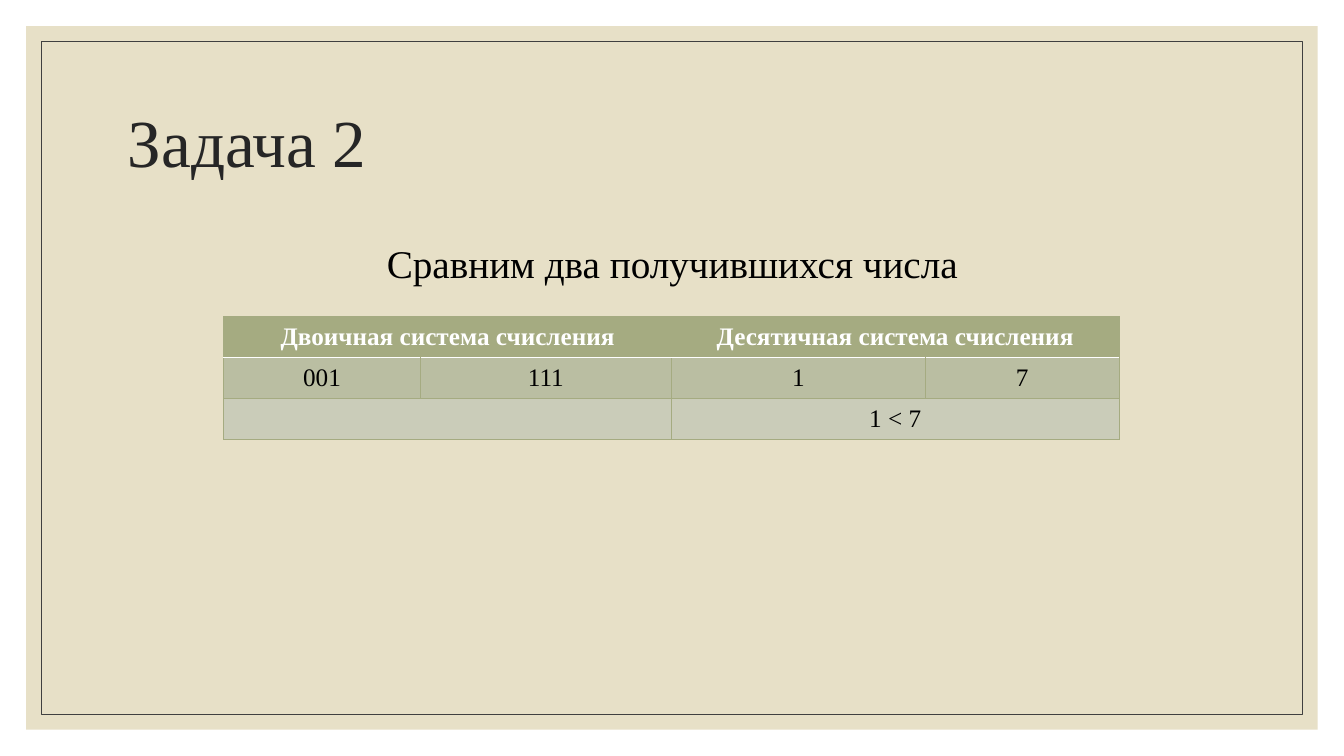
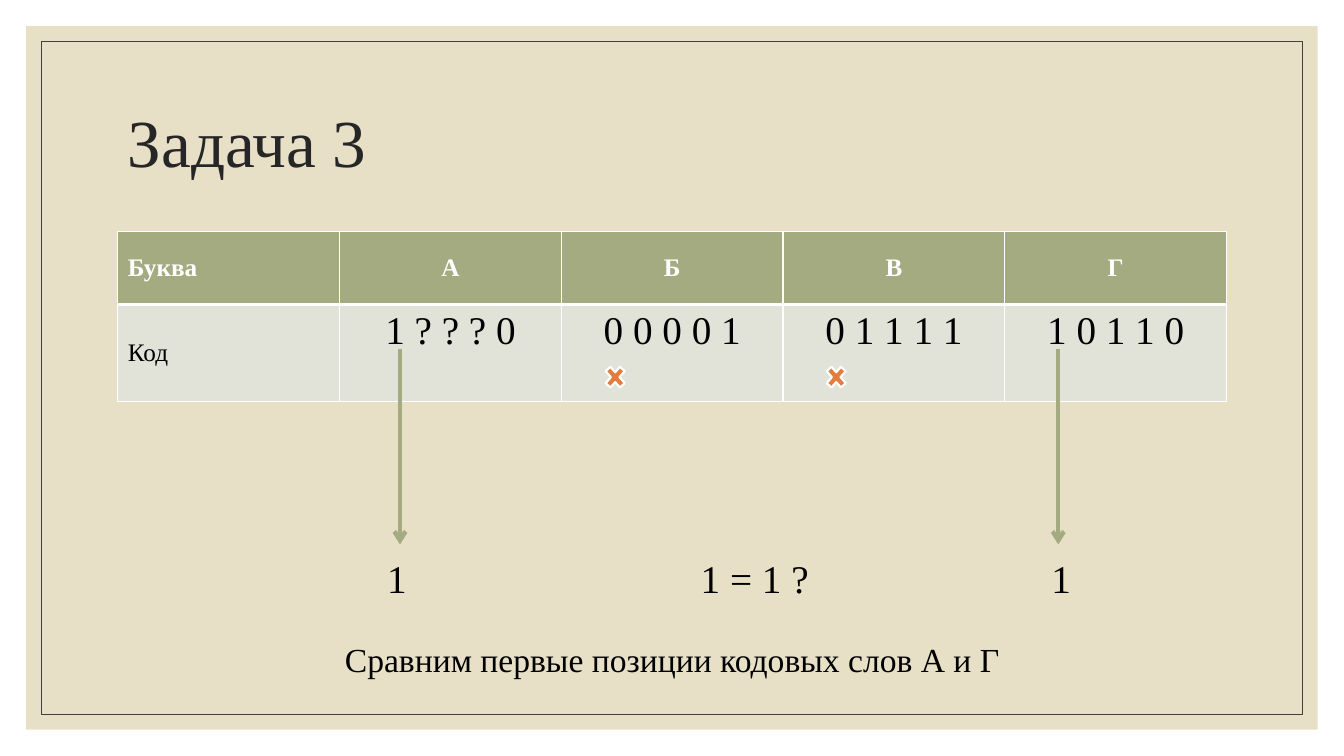
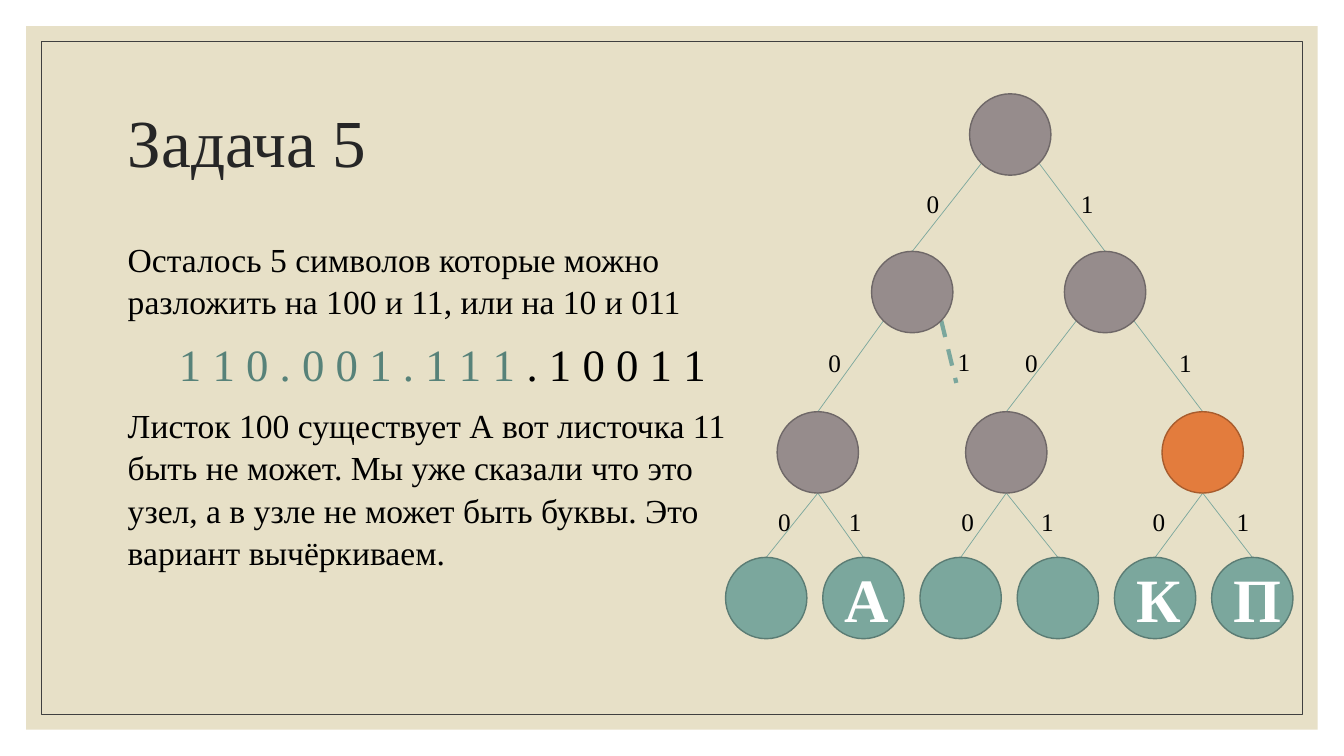
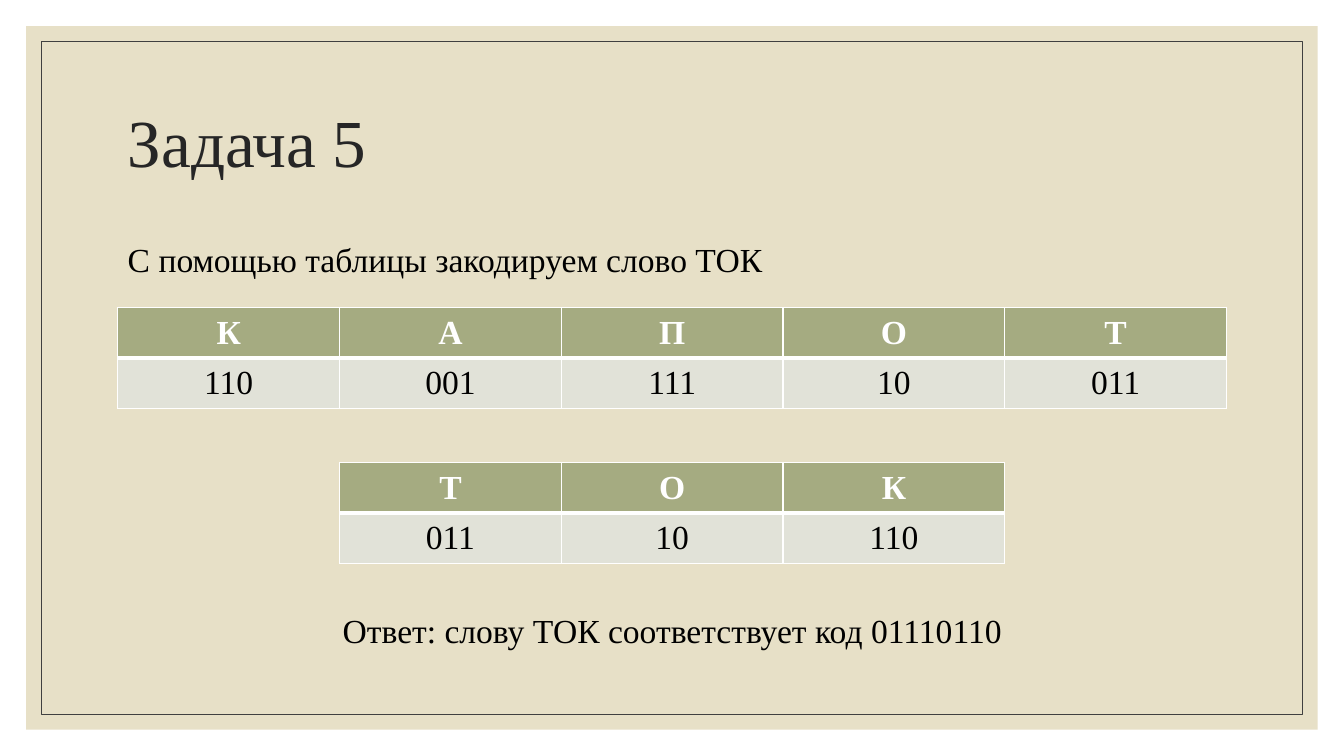
from lxml.etree import SubElement
from pptx import Presentation
from pptx.dml.color import RGBColor
from pptx.enum.dml import MSO_LINE
from pptx.enum.shapes import MSO_CONNECTOR, MSO_SHAPE
from pptx.enum.text import MSO_ANCHOR as Anchor, PP_ALIGN as Align
from pptx.oxml.ns import qn
from pptx.util import Cm, Pt

FONT = "Times New Roman"
BLACK = RGBColor(0x00, 0x00, 0x00)
WHITE = RGBColor(0xFF, 0xFF, 0xFF)
SAND = RGBColor(0xE7, 0xE0, 0xC7)
FRAME = RGBColor(0x40, 0x40, 0x40)
TITLE = RGBColor(0x26, 0x26, 0x26)
OLIVE = RGBColor(0xA5, 0xAB, 0x81)
OLIVE_MID = RGBColor(0xBA, 0xBE, 0xA2)
OLIVE_LIGHT = RGBColor(0xCA, 0xCC, 0xB9)
OLIVE_PALE = RGBColor(0xE1, 0xE2, 0xD8)
ORANGE = RGBColor(0xE3, 0x7C, 0x3D)
ORANGE_DARK = RGBColor(0xA8, 0x5C, 0x2D)
GREY = RGBColor(0x96, 0x8C, 0x8C)
GREY_DARK = RGBColor(0x6F, 0x68, 0x68)
TEAL = RGBColor(0x7B, 0xA7, 0x9D)
TEAL_DARK = RGBColor(0x5B, 0x7C, 0x74)
TEAL_TEXT = RGBColor(0x57, 0x82, 0x79)

# Lengths in centimetres
SLIDE_WIDTH, SLIDE_HEIGHT = 33.87, 19.05
LEFT, BODY_TOP, WIDTH = 2.97, 5.84, 27.94
COLUMN = WIDTH / 5
NODE = 2.05


class Deck:
    def __init__(self):
        self.prs = Presentation()
        self.prs.slide_width = Cm(SLIDE_WIDTH)
        self.prs.slide_height = Cm(SLIDE_HEIGHT)
        self.slide = None

    def new_slide(self, title):
        self.slide = self.prs.slides.add_slide(self.prs.slide_layouts[6])
        for margin, fill, line in ((0.66, SAND, None), (1.04, None, FRAME)):
            self.shape(MSO_SHAPE.RECTANGLE, margin, margin, SLIDE_WIDTH - 2 * margin,
                       SLIDE_HEIGHT - 2 * margin, fill, line, 0.5)
        heading = self.text(title, LEFT, 1.78, WIDTH, 3.81, 48, TITLE, anchor=Anchor.MIDDLE)
        heading.paragraphs[0].line_spacing = 0.9

    def shape(self, kind, left, top, width, height, fill, line, weight=1):
        shape = self.slide.shapes.add_shape(kind, Cm(left), Cm(top), Cm(width), Cm(height))
        shape.shadow.inherit = False
        for part, color in ((shape.fill, fill), (shape.line.fill, line)):
            if color is None:
                part.background()
            else:
                part.solid()
                part.fore_color.rgb = color
        if line is not None:
            shape.line.width = Pt(weight)
        return shape

    def style(self, paragraph, size, color=BLACK, align=Align.LEFT, bold=False):
        paragraph.alignment = align
        for run in paragraph.runs:
            font = run.font
            font.name, font.size, font.bold = FONT, Pt(size), bold
            font.color.rgb = color

    def text(self, words, left, top, width, height, size, color=BLACK,
             align=Align.LEFT, anchor=Anchor.TOP):
        frame = self.slide.shapes.add_textbox(
            Cm(left), Cm(top), Cm(width), Cm(height)).text_frame
        frame.word_wrap = True
        frame.vertical_anchor = anchor
        frame.text = words
        for paragraph in frame.paragraphs:
            self.style(paragraph, size, color, align)
        return frame

    def body(self, words, size=24, align=Align.LEFT, top=BODY_TOP, width=WIDTH):
        """Slide text, one paragraph a line, with the spacing of the body style."""
        frame = self.text(words, LEFT, top, width, 1.5, size, align=align)
        for index, paragraph in enumerate(frame.paragraphs):
            paragraph.line_spacing = 1.05
            if index:
                paragraph.space_before = Pt(9)
        return frame

    def line(self, start, end, color, weight, dashed=False, arrow=False):
        line = self.slide.shapes.add_connector(
            MSO_CONNECTOR.STRAIGHT, *(Cm(value) for value in (*start, *end)))
        line.line.color.rgb = color
        line.line.width = Pt(weight)
        if dashed:
            line.line.dash_style = MSO_LINE.DASH
        properties = line.element.spPr
        if arrow:
            SubElement(properties.find(qn("a:ln")), qn("a:tailEnd"), type="arrow")
        SubElement(properties, qn("a:effectLst"))

    def node(self, center, fill, line, letter=""):
        x, y = center
        circle = self.shape(MSO_SHAPE.OVAL, x - NODE / 2, y - NODE / 2, NODE, NODE, fill, line)
        if letter:
            circle.text_frame.text = letter
            self.style(circle.text_frame.paragraphs[0], 44, WHITE, Align.CENTER, bold=True)

    def bit(self, digit, x, y):
        """Digit of a tree edge, centred on a point."""
        frame = self.text(digit, x - 0.3, y - 0.35, 0.6, 0.7, 18,
                          align=Align.CENTER, anchor=Anchor.MIDDLE)
        frame.margin_left = frame.margin_right = frame.margin_top = frame.margin_bottom = 0

    def border(self, cell, side, color, weight):
        line = SubElement(cell._tc.get_or_add_tcPr(), qn("a:ln" + side), w=str(Pt(weight)))
        fill = SubElement(line, qn("a:solidFill"))
        SubElement(fill, qn("a:srgbClr"), val=str(color))

    def table(self, rows, left, top, widths, heights, size=18, fills=(OLIVE, OLIVE_PALE),
              border=(WHITE, 1), rule=(WHITE, 3)):
        """Table with a rule under its header; None joins a cell to the one before."""
        table = self.slide.shapes.add_table(
            len(rows), len(widths), Cm(left), Cm(top), Cm(sum(widths)), Cm(sum(heights))).table
        table.first_row = table.horz_banding = False
        for column, width in zip(table.columns, widths):
            column.width = Cm(width)
        for r, (words, height, fill) in enumerate(zip(rows, heights, fills)):
            table.rows[r].height = Cm(height)
            for c, word in enumerate(words):
                cell = table.cell(r, c)
                for side in "LRTB":
                    at_rule = (r, side) in ((0, "B"), (1, "T"))
                    self.border(cell, side, *(rule if at_rule else border))
                cell.fill.solid()
                cell.fill.fore_color.rgb = fill
                cell.vertical_anchor = Anchor.MIDDLE
                if word is None:
                    table.cell(r, c - 1).merge(cell)
                    continue
                cell.text = word
                self.style(cell.text_frame.paragraphs[0], size, BLACK if r else WHITE,
                           Align.CENTER, bold=r == 0)
        return table


def compare_numbers(deck):
    deck.new_slide("Задача 2")
    deck.body("Сравним два получившихся числа", 28, Align.CENTER)
    deck.table([["Двоичная система счисления", None, "Десятичная система счисления", None],
                ["001", "111", "1", "7"],
                ["", None, "1 < 7", None]],
               5.64, 7.98, [4.95, 6.33, 6.4, 4.88], [1.03] * 3,
               fills=(OLIVE, OLIVE_MID, OLIVE_LIGHT), border=(OLIVE, 0.5), rule=(WHITE, 1))


def compare_codes(deck):
    deck.new_slide("Задача 3")
    codes = deck.table([["Буква", "А", "Б", "В", "Г"],
                        ["Код", "1 ? ? ? 0", "0 0 0 0 1", "0 1 1 1 1", "1 0 1 1 0"]],
                       LEFT, BODY_TOP, [COLUMN] * 5, [1.83, 2.45])
    for row in (0, 1):
        codes.cell(row, 0).text_frame.paragraphs[0].alignment = Align.LEFT
    for column in range(1, 5):
        code = codes.cell(1, column)
        code.vertical_anchor = Anchor.TOP
        code.text_frame.paragraphs[0].runs[0].font.size = Pt(28)
    for left in (15.16, 20.73):
        deck.shape(MSO_SHAPE.MATH_MULTIPLY, left, 9.11, 0.69, 0.79, ORANGE, WHITE, 1.5)
    for x in (10.08, 26.67):
        deck.line((x, 8.79), (x, 13.72), OLIVE, 3, arrow=True)
    for words, center in (("1", 10), ("1 = 1 ?", 19.02), ("1", 26.74)):
        deck.text(words, center - 3.35, 13.84, 6.7, 1.45, 28, align=Align.CENTER)
    deck.text("Сравним первые позиции кодовых слов А и Г", LEFT, 15.98, WIDTH, 1.27, 24,
              align=Align.CENTER)


def code_tree(deck):
    deck.new_slide("Задача 5")
    story = deck.body(
        "Осталось 5 символов которые можно разложить на 100 и 11, или на 10 и 011\n"
        "1 1 0 . 0 0 1 . 1 1 1 \n"
        "Листок 100 существует А вот листочка 11 быть не может. Мы уже сказали что это "
        "узел, а в узле не может быть буквы. Это вариант вычёркиваем.", width=16.36)
    message = story.paragraphs[1]
    message.add_run().text = ". 1 0 0 1 1"
    deck.style(message, 32, align=Align.CENTER)
    message.runs[0].font.color.rgb = TEAL_TEXT

    # Nodes are keyed by the bits that lead to them
    nodes = {"": (25.46, 3.39), "0": (22.99, 7.36), "1": (27.85, 7.36),
             "00": (20.61, 11.4), "10": (25.36, 11.4), "11": (30.31, 11.4)}
    leaves = ("000", "001", "100", "101", "110", "111")
    nodes.update({leaf: (19.31 + 2.45 * i, 15.07) for i, leaf in enumerate(leaves)})
    letters = {"001": "А", "110": "К", "111": "П"}
    label_gaps = {"0": -0.35, "1": 0.38, "00": -0.4, "10": -0.25, "11": 0.43,
                  "000": -0.19, "001": 0.37, "100": -0.4, "101": 0.39,
                  "110": -0.5, "111": 0.39}

    radius, diagonal = NODE / 2, NODE / 2 * 0.71
    for code, gap in label_gaps.items():
        x, y = nodes[code[:-1]]
        if code in leaves:
            start = x, y + radius
        else:
            start = x + (diagonal if code[-1] == "1" else -diagonal), y + diagonal
        end = nodes[code][0], nodes[code][1] - radius
        deck.line(start, end, TEAL, 0.5)
        deck.bit(code[-1], (start[0] + end[0]) / 2 + gap, (start[1] + end[1]) / 2 - 0.1)
    deck.line((23.72, 8.08), (24.1, 9.65), TEAL, 3, dashed=True)
    deck.bit("1", 24.29, 9.1)

    for code, center in nodes.items():
        if code in leaves:
            colors = TEAL, TEAL_DARK
        elif code == "11":
            colors = ORANGE, ORANGE_DARK
        else:
            colors = GREY, GREY_DARK
        deck.node(center, *colors, letters.get(code, ""))


def encode_word(deck):
    deck.new_slide("Задача 5")
    deck.body("С помощью таблицы закодируем слово ТОК")
    codes = {"К": "110", "А": "001", "П": "111", "О": "10", "Т": "011"}
    for word, left, top in (("КАПОТ", LEFT, 7.75), ("ТОК", LEFT + COLUMN, 11.66)):
        deck.table([list(word), [codes[letter] for letter in word]],
                   left, top, [COLUMN] * len(word), [1.2] * 2, size=24)
    deck.body("Ответ: слову ТОК соответствует код 01110110", align=Align.CENTER, top=15.19)


def main():
    deck = Deck()
    for build in (compare_numbers, compare_codes, code_tree, encode_word):
        build(deck)
    deck.prs.save("out.pptx")


if __name__ == "__main__":
    main()
